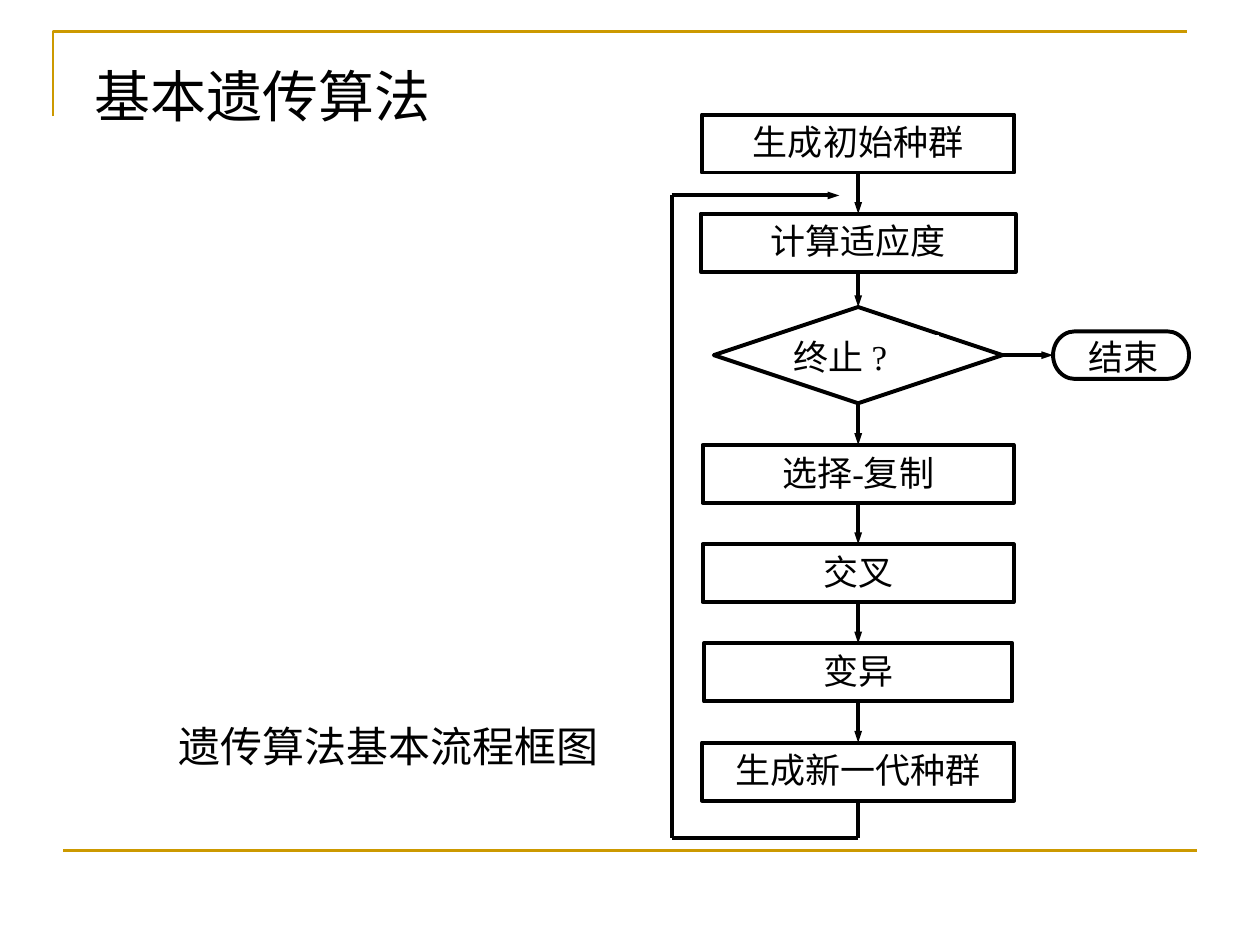
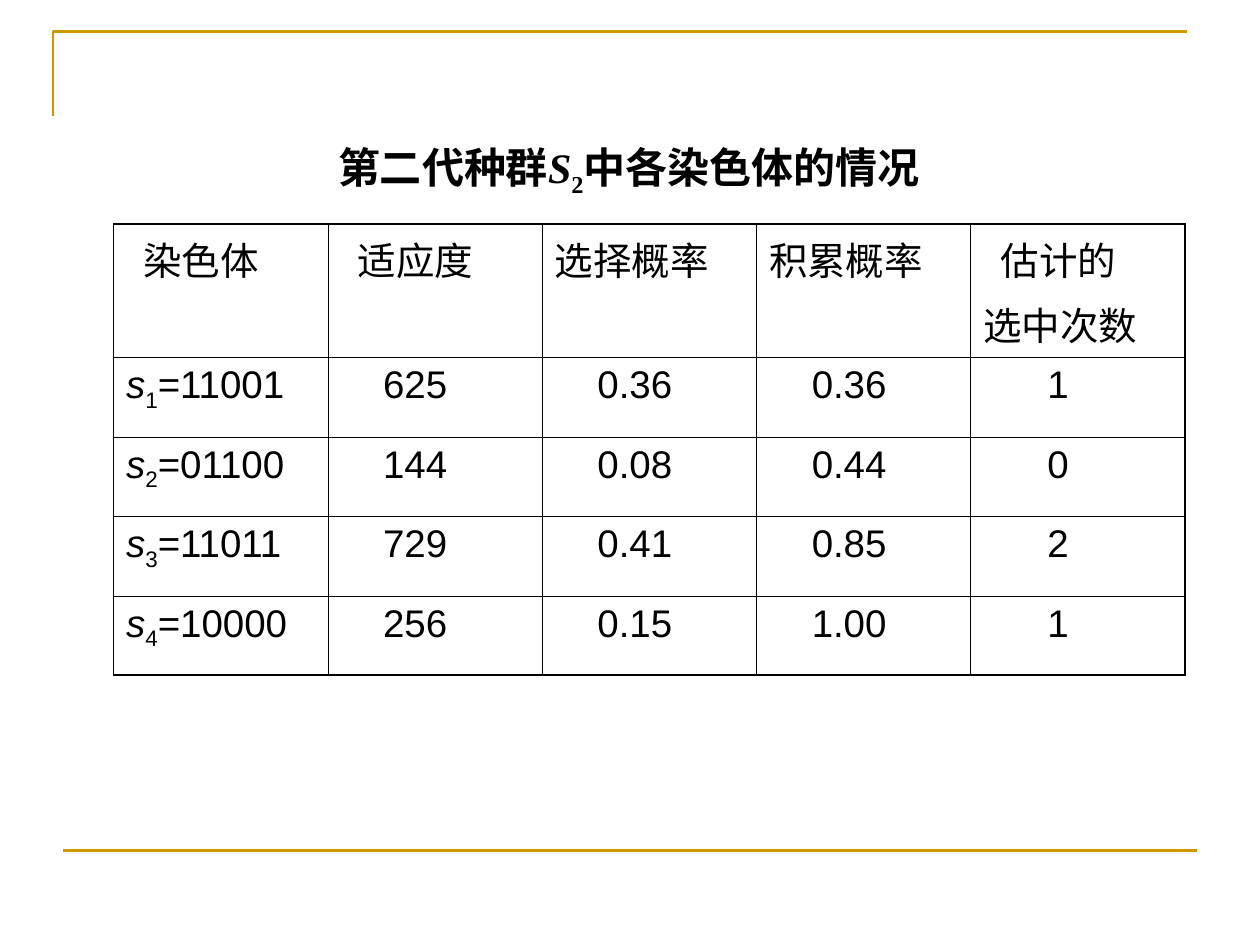
from lxml.etree import SubElement
from pptx import Presentation
from pptx.dml.color import RGBColor
from pptx.enum.shapes import MSO_CONNECTOR as Line, MSO_SHAPE as Shape
from pptx.enum.text import MSO_ANCHOR as Anchor, MSO_AUTO_SIZE as AutoSize, PP_ALIGN as Align
from pptx.oxml.ns import qn
from pptx.util import Cm, Pt

BLACK = RGBColor(0x00, 0x00, 0x00)
WHITE = RGBColor(0xFF, 0xFF, 0xFF)
GOLD = RGBColor(0xCC, 0x99, 0x00)
CJK = "Noto Sans CJK SC"
SERIF = "Times New Roman"
SANS = "Arial"

BOTTOM, RIGHT, TOP, LEFT = 2, 3, 0, 1
AXIS_X = 17.3
BOX_H = 1.17
STEP = 2
FIRST_TOP = 2.31
SECOND_HALF_TOP = 8.97
DECISION_Y = 7.16

STEPS_BEFORE = [("生成初始种群", 6.3), ("计算适应度", 6.35)]
STEPS_AFTER = [("选择-复制", 6.27), ("交叉", 6.27), ("变异", 6.22), ("生成新一代种群", 6.3)]

HEADERS = [
    [("染色体", 0.35)],
    [("适应度", 0.35)],
    [("选择概率", 0)],
    [("积累概率", 0)],
    [("估计的", 0.35), ("选中次数", 0)],
]
CHROMOSOMES = [
    ("11001", "625", "0.36", "0.36", "1"),
    ("01100", "144", "0.08", "0.44", "0"),
    ("11011", "729", "0.41", "0.85", "2"),
    ("10000", "256", "0.15", "1.00", "1"),
]
VALUE_INDENTS = (0.86, 0.86, 0.86, 1.29)


def add_run(p, text, size, font, bold=False, italic=False, sub=False):
    r = p.add_run()
    r.text = text
    r.font.size = Pt(size)
    r.font.bold = bold
    r.font.italic = italic
    r.font.color.rgb = BLACK
    r.font.name = font
    rPr = r._r.get_or_add_rPr()
    SubElement(rPr, qn("a:ea")).set("typeface", CJK)
    if sub:
        rPr.set("baseline", "-25000")


def add_line(s, start, end, color=BLACK, width=2.25, arrow=False):
    c = s.shapes.add_connector(Line.STRAIGHT, *(Cm(v) for v in start + end))
    c.line.color.rgb = color
    c.line.width = Pt(width)
    if arrow:
        tail = SubElement(c.line._get_or_add_ln(), qn("a:tailEnd"))
        for key, value in (("type", "triangle"), ("w", "sm"), ("len", "med")):
            tail.set(key, value)
    SubElement(c._element.spPr, qn("a:effectLst"))
    return c


def link(s, source, source_side, target, target_side):
    c = add_line(s, (0, 0), (1, 1), arrow=True)
    c.begin_connect(source, source_side)
    c.end_connect(target, target_side)


def add_box(s, kind, x, y, w, h, line=BLACK, width=2.25):
    sp = s.shapes.add_shape(kind, Cm(x), Cm(y), Cm(w), Cm(h))
    sp.shadow.inherit = False
    sp.fill.solid()
    sp.fill.fore_color.rgb = WHITE
    sp.line.color.rgb = line
    sp.line.width = Pt(width)
    return sp


def write(sp, text, size=20, align=Align.CENTER, inset=None):
    tf = sp.text_frame
    tf.word_wrap = True
    tf.vertical_anchor = Anchor.TOP
    if inset is not None:
        tf.margin_left = Cm(inset)
        tf.margin_right = tf.margin_top = tf.margin_bottom = 0
    p = tf.paragraphs[0]
    p.alignment = align
    add_run(p, text, size, SERIF)


def add_label(s, text, x, y, w, h, **style):
    write(add_box(s, Shape.RECTANGLE, x, y, w, h, WHITE, 0.75), text, **style)


def add_step(s, text, y, w):
    sp = add_box(s, Shape.RECTANGLE, AXIS_X - w / 2, y, w, BOX_H)
    write(sp, text)
    return sp


def add_frame(s):
    fb = s.shapes.build_freeform(Cm(1.07), Cm(2.34))
    fb.add_line_segments([(Cm(1.07), Cm(0.64)), (Cm(23.93), Cm(0.64))], close=False)
    corner = fb.convert_to_shape()
    corner.shadow.inherit = False
    corner.fill.background()
    corner.line.color.rgb = GOLD
    corner.line.width = Pt(1.5)
    add_line(s, (1.27, 17.15), (24.13, 17.15), GOLD, 1.5)


def add_slide(prs, x, y, w, h):
    s = prs.slides.add_slide(prs.slide_layouts[5])
    add_frame(s)
    title = s.shapes.title
    title.left, title.top, title.width, title.height = Cm(x), Cm(y), Cm(w), Cm(h)
    tf = title.text_frame
    tf.auto_size = AutoSize.NONE
    tf.word_wrap = False
    tf.vertical_anchor = Anchor.TOP
    p = tf.paragraphs[0]
    p.alignment = Align.LEFT
    return s, p


def add_loop_back(s, last_step):
    bottom, left, top = 16.89, 13.54, 3.94
    down = add_line(s, (AXIS_X, bottom - 0.75), (AXIS_X, bottom))
    down.begin_connect(last_step, BOTTOM)
    add_line(s, (AXIS_X, bottom), (left, bottom))
    add_line(s, (left, bottom), (left, top))
    add_line(s, (left, top), (16.92, top), arrow=True)


def flow_slide(prs):
    s, p = add_slide(prs, 1.65, 1.12, 7.54, 1.63)
    add_run(p, "基本遗传算法", 32, CJK)
    add_label(s, "遗传算法基本流程框图", 3.1, 14.53, 9.6, 1.14, size=24, align=Align.LEFT, inset=0.5)

    before = [add_step(s, text, FIRST_TOP + i * STEP, w) for i, (text, w) in enumerate(STEPS_BEFORE)]
    after = [add_step(s, text, SECOND_HALF_TOP + i * STEP, w) for i, (text, w) in enumerate(STEPS_AFTER)]
    decision = add_box(s, Shape.FLOWCHART_DECISION, AXIS_X - 2.91, DECISION_Y - 0.97, 5.82, 1.94)
    end = add_box(s, Shape.FLOWCHART_TERMINATOR, 21.23, DECISION_Y - 0.48, 2.74, 0.96)
    add_label(s, "终止 ?", 16, 6.76, 2.92, 0.76, align=Align.LEFT, inset=0)
    add_label(s, "结束", 21.92, 6.76, 1.45, 0.76, inset=0)

    chain = before + [decision] + after
    for source, target in zip(chain, chain[1:]):
        link(s, source, BOTTOM, target, TOP)
    link(s, decision, RIGHT, end, LEFT)
    add_loop_back(s, chain[-1])


def set_borders(cell, thick_sides):
    tcPr = cell._tc.get_or_add_tcPr()
    for side in "LRTB":
        width = 1.08 if side in thick_sides else 0.45
        ln = SubElement(tcPr, qn("a:ln" + side), w=str(Pt(width)))
        fill = SubElement(ln, qn("a:solidFill"))
        SubElement(fill, qn("a:srgbClr"), val=str(BLACK))
    cell.fill.background()


def cell_paragraph(p, indent):
    p.space_before = Pt(5.5)
    p._p.get_or_add_pPr().set("marL", str(Cm(indent)))


def fill_cell(cell, lines):
    tf = cell.text_frame
    for i, (text, indent) in enumerate(lines):
        p = tf.add_paragraph() if i else tf.paragraphs[0]
        cell_paragraph(p, indent)
        add_run(p, text, 22, SANS)


def fill_chromosome(cell, number, bits):
    p = cell.text_frame.paragraphs[0]
    cell_paragraph(p, 0)
    add_run(p, "s", 22, SANS, italic=True)
    add_run(p, str(number), 22, SANS, sub=True)
    add_run(p, "=" + bits, 22, SANS)


def add_population_table(s):
    rows, cols = len(CHROMOSOMES) + 1, len(HEADERS)
    table = s.shapes.add_table(rows, cols, Cm(2.29), Cm(4.52), Cm(21.6), Cm(8.89)).table
    table.first_row = table.horz_banding = False
    for col in table.columns:
        col.width = Cm(21.6 / cols)
    for i, row in enumerate(table.rows):
        row.height = Cm(1.6 if i else 2.49)
    for j, lines in enumerate(HEADERS):
        fill_cell(table.cell(0, j), lines)
    for i, (bits, *values) in enumerate(CHROMOSOMES, 1):
        fill_chromosome(table.cell(i, 0), i, bits)
        for j, line in enumerate(zip(values, VALUE_INDENTS), 1):
            fill_cell(table.cell(i, j), [line])
    for i in range(rows):
        for j in range(cols):
            edges = {"L": j == 0, "R": j == cols - 1, "T": i == 0, "B": i == rows - 1}
            set_borders(table.cell(i, j), [side for side, outer in edges.items() if outer])


def population_slide(prs):
    s, p = add_slide(prs, 6.56, 2.72, 12.64, 1.42)
    add_run(p, "第二代种群", 24, CJK, bold=True)
    add_run(p, "S", 24, SERIF, bold=True, italic=True)
    add_run(p, "2", 24, SERIF, bold=True, sub=True)
    add_run(p, "中各染色体的情况", 24, CJK, bold=True)
    add_population_table(s)


def main():
    prs = Presentation()
    prs.slide_width, prs.slide_height = Cm(25.4), Cm(19.05)
    flow_slide(prs)
    population_slide(prs)
    prs.save("out.pptx")


if __name__ == "__main__":
    main()
